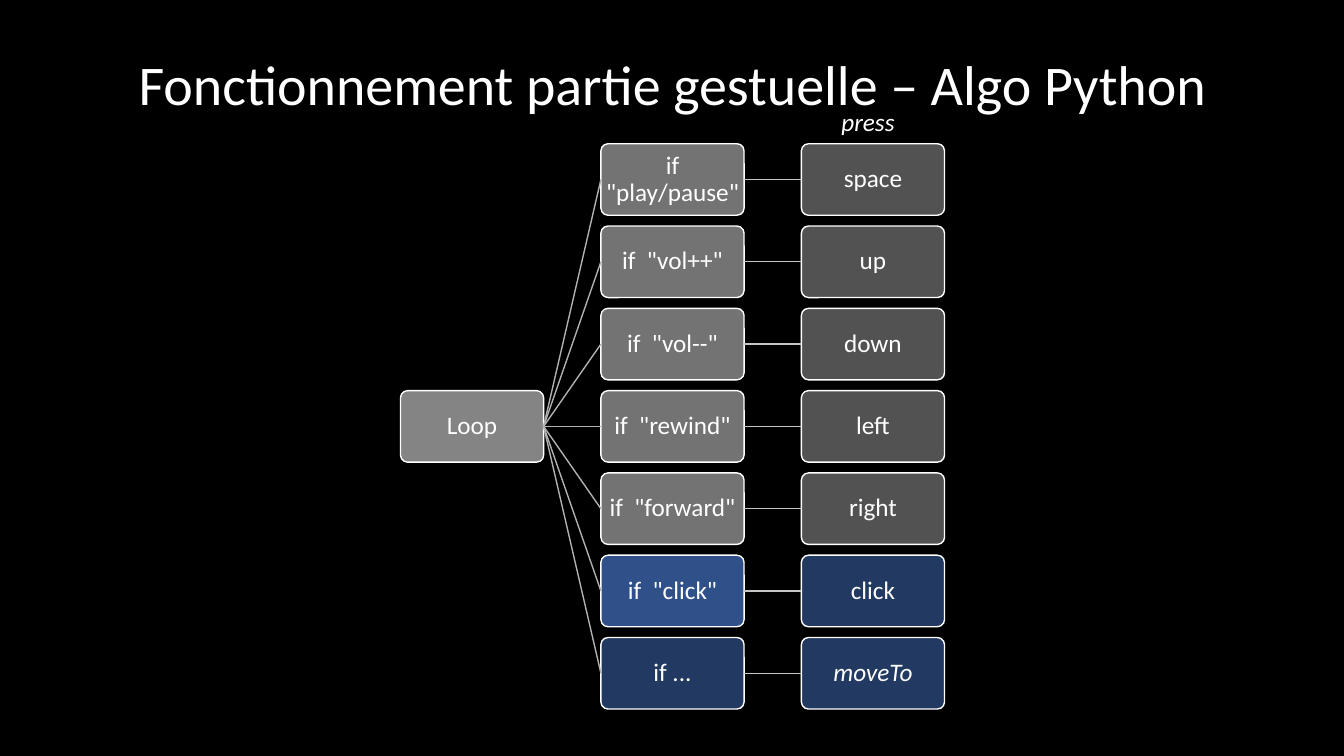
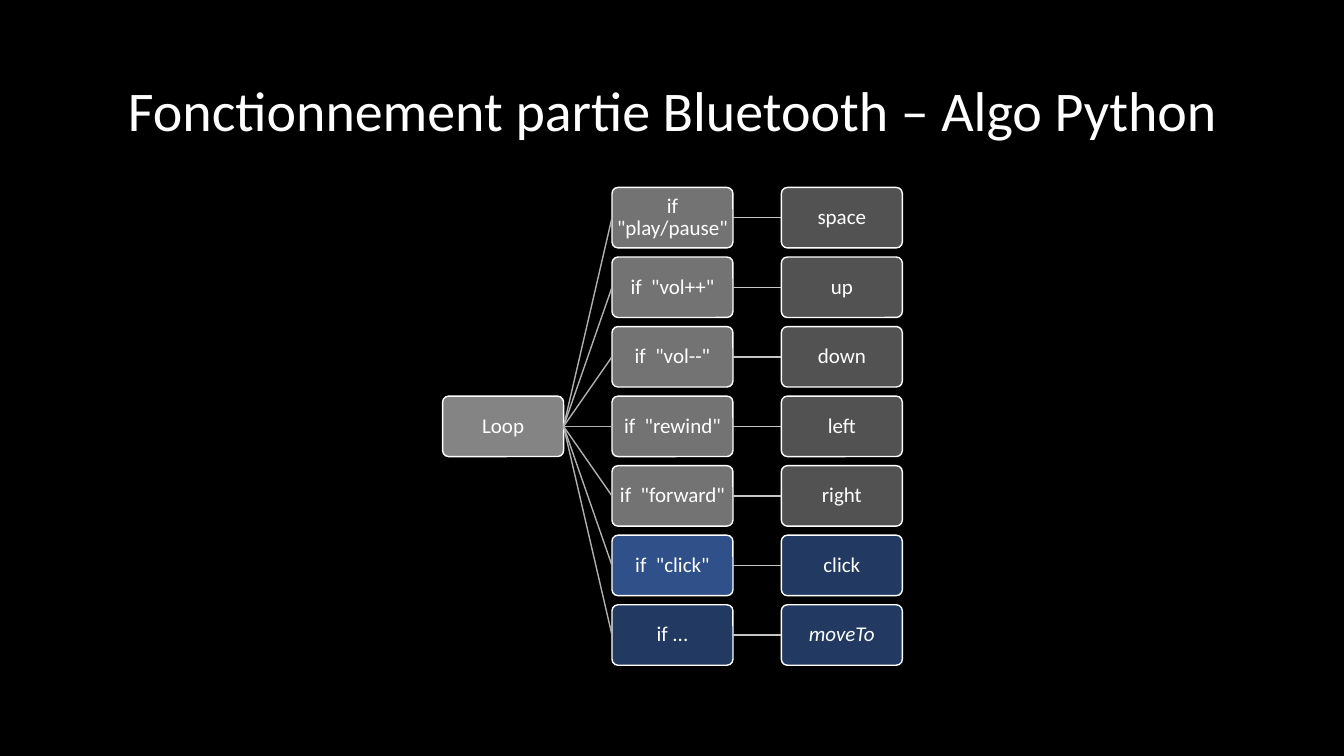
from dataclasses import dataclass
from typing import NamedTuple

from lxml import etree
from pptx import Presentation
from pptx.dml.color import RGBColor
from pptx.enum.shapes import MSO_CONNECTOR, MSO_SHAPE
from pptx.enum.text import MSO_ANCHOR, PP_ALIGN
from pptx.oxml.ns import qn
from pptx.shapes.autoshape import Shape
from pptx.slide import Slide
from pptx.text.text import TextFrame
from pptx.util import Inches, Pt

ROUNDED = MSO_SHAPE.ROUNDED_RECTANGLE
STRAIGHT = MSO_CONNECTOR.STRAIGHT
CENTER = PP_ALIGN.CENTER
MIDDLE = MSO_ANCHOR.MIDDLE
LEFT_SIDE, RIGHT_SIDE = 1, 3

FONT = "Calibri"
TITLE_SIZE = 40
SLIDE_WIDTH, SLIDE_HEIGHT = 13.33, 7.5
COLORS = {
    "background": "000000",
    "text": "FFFFFF",
    "gray": "A5A5A5",
    "blue": "4472C4",
    "branch": "B1B1B1",
    "action": "C6C6C6",
}

# Tree proportions, as multiples of the box width
BOX_HEIGHT = 0.5
COLUMN_STEP = 1.4
ROW_STEP = 0.575
TREE_CENTER_X, TREE_CENTER_Y = 6.67, 4.23


class Area(NamedTuple):
    left: float
    top: float
    width: float
    height: float


class Command(NamedTuple):
    condition: str
    action: str
    color: str = "gray"
    condition_opacity: int = 70
    italic: bool = False


@dataclass
class Algorithm:
    title: str
    title_area: Area
    title_spacing: float
    box_width: float
    text_size: int


COMMANDS = [
    Command('if "play/pause"', "space"),
    Command('if  "vol++"', "up"),
    Command('if  "vol--"', "down"),
    Command('if  "rewind"', "left"),
    Command('if  "forward"', "right"),
    Command('if  "click"', "click", "blue"),
    Command("if ...", "moveTo", "blue", 50, True),
]
GESTURE = Algorithm("Fonctionnement partie gestuelle – Algo Python",
                    Area(0.64, 0.44, 12.06, 0.77), 1.0, 1.42, 18)
BLUETOOTH = Algorithm("Fonctionnement partie Bluetooth – Algo Python",
                      Area(0.92, 0.4, 11.5, 1.45), 0.9, 1.2, 15)


def rgb(name: str) -> RGBColor:
    return RGBColor.from_string(COLORS[name])


def write(frame: TextFrame, text: str, size: int, spacing: float = 1.0,
          italic: bool = False) -> None:
    frame.word_wrap = True
    frame.vertical_anchor = MIDDLE
    para = frame.paragraphs[0]
    para.alignment = CENTER
    para.line_spacing = spacing
    span = para.add_run()
    span.text = text
    span.font.name = FONT
    span.font.size = Pt(size)
    span.font.italic = italic
    span.font.color.rgb = rgb("text")


def add_label(page: Slide, area: Area, text: str, size: int,
              spacing: float = 1.0, italic: bool = False) -> None:
    box = page.shapes.add_textbox(*map(Inches, area))
    write(box.text_frame, text, size, spacing, italic)


def add_node(page: Slide, area: Area, text: str, size: int, color: str,
             opacity: int, italic: bool = False) -> Shape:
    box = page.shapes.add_shape(ROUNDED, *map(Inches, area))
    box.adjustments[0] = 0.1
    box.shadow.inherit = False
    box.fill.solid()
    box.fill.fore_color.rgb = rgb(color)
    fill_color = box._element.spPr.find(qn("a:solidFill")).find(qn("a:srgbClr"))
    etree.SubElement(fill_color, qn("a:alpha")).set("val", str(opacity * 1000))
    box.line.color.rgb = rgb("text")
    box.line.width = Pt(1)
    frame = box.text_frame
    frame.margin_left = frame.margin_right = Inches(0.01)
    frame.margin_top = frame.margin_bottom = Inches(0.01)
    write(frame, text, size, 0.9, italic)
    return box


def join(page: Slide, source: Shape, target: Shape, color: str) -> None:
    link = page.shapes.add_connector(STRAIGHT, 0, 0, 0, 0)
    link.begin_connect(source, RIGHT_SIDE)
    link.end_connect(target, LEFT_SIDE)
    link.line.color.rgb = rgb(color)
    link.line.width = Pt(1)
    etree.SubElement(link._element.spPr, qn("a:effectLst"))


def add_tree(page: Slide, width: float, size: int) -> None:
    height = width * BOX_HEIGHT
    middle_row = (len(COMMANDS) - 1) / 2

    def cell(column: int, row: float) -> Area:
        center_x = TREE_CENTER_X + (column - 1) * width * COLUMN_STEP
        center_y = TREE_CENTER_Y + (row - middle_row) * width * ROW_STEP
        return Area(center_x - width / 2, center_y - height / 2, width, height)

    loop = add_node(page, cell(0, middle_row), "Loop", size, "gray", 80)
    for row, command in enumerate(COMMANDS):
        condition = add_node(page, cell(1, row), command.condition, size,
                             command.color, command.condition_opacity)
        action = add_node(page, cell(2, row), command.action, size,
                          command.color, 50, command.italic)
        join(page, loop, condition, "branch")
        join(page, condition, action, "action")


def add_page(deck: Presentation, algorithm: Algorithm) -> Slide:
    page = deck.slides.add_slide(deck.slide_layouts[6])
    add_label(page, algorithm.title_area, algorithm.title, TITLE_SIZE,
              algorithm.title_spacing)
    add_tree(page, algorithm.box_width, algorithm.text_size)
    return page


def main() -> None:
    deck = Presentation()
    deck.slide_width = Inches(SLIDE_WIDTH)
    deck.slide_height = Inches(SLIDE_HEIGHT)

    # Shared background
    background = deck.slide_master.background.fill
    background.solid()
    background.fore_color.rgb = rgb("background")

    # Gesture slide, with a heading over the actions
    gesture_page = add_page(deck, GESTURE)
    add_label(gesture_page, Area(7.53, 1.01, 2.16, 0.4), "press", 18, italic=True)

    # Bluetooth slide
    add_page(deck, BLUETOOTH)
    deck.save("out.pptx")


if __name__ == "__main__":
    main()
